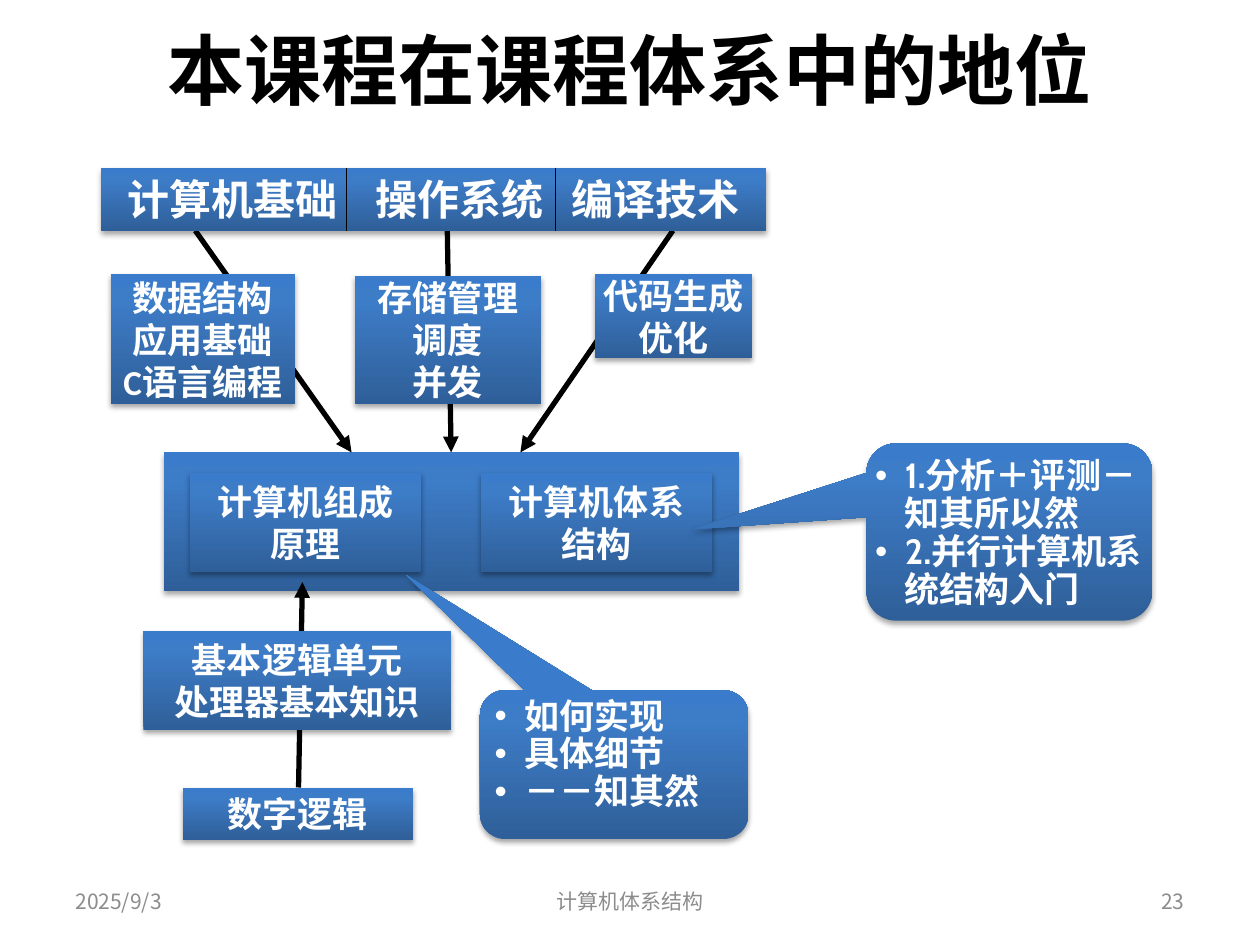
from lxml import etree
from pptx import Presentation
from pptx import util as u
from pptx.dml.color import RGBColor
from pptx.enum import shapes, text
from pptx.oxml import parse_xml
from pptx.oxml.ns import nsdecls, qn

BLACK = RGBColor(0x00, 0x00, 0x00)
WHITE = RGBColor(0xFF, 0xFF, 0xFF)
GRAY = RGBColor(0x8C, 0x8C, 0x8C)
DARK_BLUE = RGBColor(0x2F, 0x5F, 0x99)
MID_BLUE = RGBColor(0x3D, 0x7C, 0xC7)
LIGHT_BLUE = RGBColor(0x3A, 0x7C, 0xCB)
GRADIENT = [(0, DARK_BLUE), (80, MID_BLUE), (100, LIGHT_BLUE)]
CJK_FONT = "Noto Sans CJK SC"
LEFT, CENTER, RIGHT = text.PP_ALIGN.LEFT, text.PP_ALIGN.CENTER, text.PP_ALIGN.RIGHT
RECTANGLE = shapes.MSO_SHAPE.RECTANGLE

# Content: boxes are (left, top, width, height) in points
TITLE = "本课程在课程体系中的地位"
CORE_BOX = (93.6, 258.5, 329, 79)
PREREQUISITE_BAR = (57.6, 95.8, 380.2, 36)
PREREQUISITES = ["计算机基础", "操作系统", "编译技术"]
BAR_INSET, BAR_TABS, BAR_DIVIDERS = 15.5, (141.5, 253.5), (198, 317.5)
TOPICS = [
    ((63.4, 156.7, 105.1, 74.2), ["数据结构", "应用基础", "C语言编程"]),
    ((202.7, 157.7, 106.6, 73.1), ["存储管理", "调度", "并发"]),
    ((339.8, 156.7, 90, 48), ["代码生成", "优化"]),
    ((275, 270, 131.8, 56.9), ["计算机体系", "结构"]),
    ((82, 360.7, 175.7, 56.5), ["基本逻辑单元", "处理器基本知识"]),
    ((104.4, 450, 131.8, 29.8), ["数字逻辑"]),
    ((108.7, 270, 131.8, 56.9), ["计算机组成", "原理"]),
]
ARROWS = [
    (384.5, 131.8, 297.4, 258.5),
    (255.6, 131.8, 257.8, 258.5),
    (111.6, 131.8, 200.9, 258.5),
    (170.6, 450, 172.8, 332.6),
]
CALLOUTS = [  # box, pointer, insets, lines
    ((274.3, 394.4, 153.4, 85), (-0.776, -1.275), (4.2, 0.8, 4.2, 0.8),
     ["如何实现", "具体细节", "－－知其然"]),
    ((495.1, 253.4, 163.4, 101.3), (-1.114, -0.014), (0, 3.8, 0, 0.8),
     ["1.分析＋评测－知其所以然", "2.并行计算机系统结构入门"]),
]
FOOTER_TOP, FOOTER_HEIGHT = 500.5, 28.8
FOOTERS = [
    (36, 168, "2025/9/3", LEFT),
    (246, 228, "计算机体系结构", CENTER),
    (516, 168, "23", RIGHT),
]

presentation = Presentation()
presentation.slide_width, presentation.slide_height = u.Pt(720), u.Pt(540)
slide = presentation.slides.add_slide(presentation.slide_layouts[6])


def points(values):
    return [u.Pt(value) for value in values]


def write(shape, lines, size, color, bold=True, align=CENTER, font="Calibri",
          insets=(7.2, 3.6, 7.2, 3.6), wrap=True, anchor=text.MSO_ANCHOR.MIDDLE):
    frame = shape.text_frame
    frame.text = "\n".join(lines)
    frame.word_wrap = wrap
    frame.vertical_anchor = anchor
    (frame.margin_left, frame.margin_top,
     frame.margin_right, frame.margin_bottom) = points(insets)
    for paragraph in frame.paragraphs:
        paragraph.alignment = align
        for run in paragraph.runs:
            run.font.size, run.font.bold = u.Pt(size), bold
            run.font.name, run.font.color.rgb = font, color
            east_asian = etree.SubElement(run._r.get_or_add_rPr(), qn("a:ea"))
            east_asian.set("typeface", CJK_FONT)
    return frame


def add_blue_shape(kind, box):
    shape = slide.shapes.add_shape(kind, *points(box))
    shape.line.fill.background()
    stops = "".join(f'<a:gs pos="{position * 1000}"><a:srgbClr val="{color}"/></a:gs>'
                    for position, color in GRADIENT)
    gradient = parse_xml(
        f'<a:gradFill {nsdecls("a")} rotWithShape="1"><a:gsLst>{stops}</a:gsLst>'
        '<a:lin ang="16200000" scaled="0"/></a:gradFill>')
    shadow = parse_xml(
        f'<a:effectLst {nsdecls("a")}><a:outerShdw blurRad="{u.Pt(3.1)}" '
        f'dist="{u.Pt(1.8)}" dir="5400000" rotWithShape="0"><a:srgbClr val="000000">'
        '<a:alpha val="35000"/></a:srgbClr></a:outerShdw></a:effectLst>')
    properties = shape._element.spPr
    properties.find(qn("a:prstGeom")).addnext(gradient)
    properties.append(shadow)
    return shape


def add_line(ends, width, arrow=False):
    line = slide.shapes.add_connector(shapes.MSO_CONNECTOR.STRAIGHT, *points(ends))
    line.line.color.rgb, line.line.width = BLACK, u.Pt(width)
    if arrow:
        etree.SubElement(line.line._get_or_add_ln(), qn("a:tailEnd")).set("type", "triangle")
    etree.SubElement(line._element.spPr, qn("a:effectLst"))


# Title
write(slide.shapes.add_textbox(*points((54, 0, 612, 78.5))), [TITLE], 44, BLACK)

# Core course panel and the arrows, behind the topic boxes
add_blue_shape(shapes.MSO_SHAPE.FLOWCHART_PROCESS, CORE_BOX)
for ends in ARROWS:
    add_line(ends, 3, arrow=True)

# Prerequisite bar: three labels on tab stops, split by dividers
bar = add_blue_shape(RECTANGLE, PREREQUISITE_BAR)
bar_frame = write(bar, ["\t".join(PREREQUISITES)], 24, WHITE, align=LEFT,
                  insets=(BAR_INSET, 0, 0, 0))
tab_list = etree.SubElement(bar_frame.paragraphs[0]._p.get_or_add_pPr(), qn("a:tabLst"))
for position in BAR_TABS:
    etree.SubElement(tab_list, qn("a:tab"), pos=str(u.Pt(position)), algn="l")
bar_top, bar_bottom = PREREQUISITE_BAR[1], PREREQUISITE_BAR[1] + PREREQUISITE_BAR[3]
for x in BAR_DIVIDERS:
    add_line((x, bar_top, x, bar_bottom), 1)

# Topic boxes
for box, lines in TOPICS:
    write(add_blue_shape(RECTANGLE, box), lines, 20, WHITE, insets=(0, 0, 0, 0), wrap=False)

# Callouts with bullets
for box, pointer, insets, lines in CALLOUTS:
    callout = add_blue_shape(shapes.MSO_SHAPE.ROUNDED_RECTANGULAR_CALLOUT, box)
    for index, value in enumerate((*pointer, 0.167)):
        callout.adjustments[index] = value
    frame = write(callout, lines, 20, WHITE, align=LEFT, font="Cabin", insets=insets,
                  anchor=text.MSO_ANCHOR.TOP)
    for paragraph in frame.paragraphs:
        paragraph.line_spacing = 0.9
        properties = paragraph._p.get_or_add_pPr()
        properties.set("marL", str(u.Pt(17)))
        properties.set("indent", str(-u.Pt(17)))
        etree.SubElement(properties, qn("a:buFont")).set("typeface", "Arial")
        etree.SubElement(properties, qn("a:buChar")).set("char", "•")

# Footer
for left, width, label, align in FOOTERS:
    footer = slide.shapes.add_textbox(*points((left, FOOTER_TOP, width, FOOTER_HEIGHT)))
    write(footer, [label], 12, GRAY, bold=False, align=align, font=CJK_FONT)

presentation.save("out.pptx")
